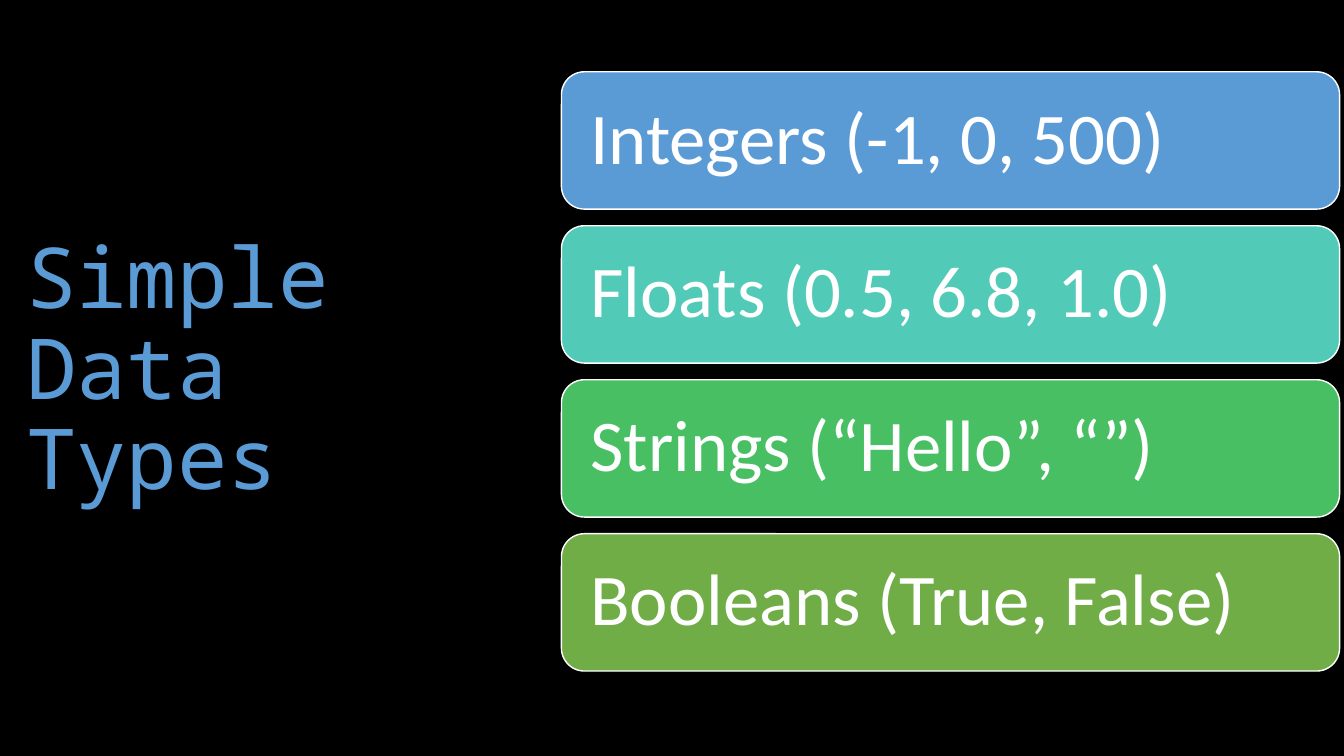
import pptx
import pptx.dml.color
import pptx.enum.shapes
import pptx.enum.text
import pptx.util

Cm = pptx.util.Cm
Pt = pptx.util.Pt


def color(hex_string):
    return pptx.dml.color.RGBColor.from_string(hex_string)


def write_text(shape, text, font_values, margin_values):
    frame_values = {
        "word_wrap": True,
        "vertical_anchor": pptx.enum.text.MSO_ANCHOR.MIDDLE,
        **margin_values,
    }
    for name, value in frame_values.items():
        setattr(shape.text_frame, name, value)
    para = shape.text_frame.paragraphs[0]
    para.alignment = pptx.enum.text.PP_ALIGN.LEFT
    para.line_spacing = 0.9
    span = para.add_run()
    span.text = text
    for name, value in font_values.items():
        setattr(span.font, name, value)
    return span


deck = pptx.Presentation()
deck.slide_width = Cm(33.87)
deck.slide_height = Cm(19.05)
page = deck.slides.add_slide(deck.slide_layouts[6])
page.background.fill.solid()
page.background.fill.fore_color.rgb = color("000000")

title = page.shapes.add_textbox(Cm(0.41), Cm(1.73), Cm(12.98), Cm(15.29))
title_font = {"name": "Noto Sans Mono", "size": Pt(60)}
title_span = write_text(title, "Simple Data Types", title_font, {})
title_span.font.color.rgb = color("5B9BD5")

data_types = [
    ("Integers (-1, 0, 500)", "5B9BD5"),
    ("Floats (0.5, 6.8, 1.0)", "52CAB8"),
    ("Strings (“Hello”, “”)", "49BF64"),
    ("Booleans (True, False)", "70AD47"),
]
box_font = {"name": "Calibri", "size": Pt(52)}
box_margins = {
    f"margin_{side}": Cm(0.56) for side in ("left", "right", "top", "bottom")
}
first_top, pitch = 1.81, 3.88

for index, (text, fill) in enumerate(data_types):
    box = page.shapes.add_shape(
        pptx.enum.shapes.MSO_SHAPE.ROUNDED_RECTANGLE,
        Cm(14.15), Cm(first_top + index * pitch), Cm(19.61), Cm(3.46),
    )
    box.shadow.inherit = False
    box.fill.solid()
    box.fill.fore_color.rgb = color(fill)
    box.line.color.rgb = color("FFFFFF")
    box.line.width = Pt(1)
    box_span = write_text(box, text, box_font, box_margins)
    box_span.font.color.rgb = color("FFFFFF")

deck.save("out.pptx")
